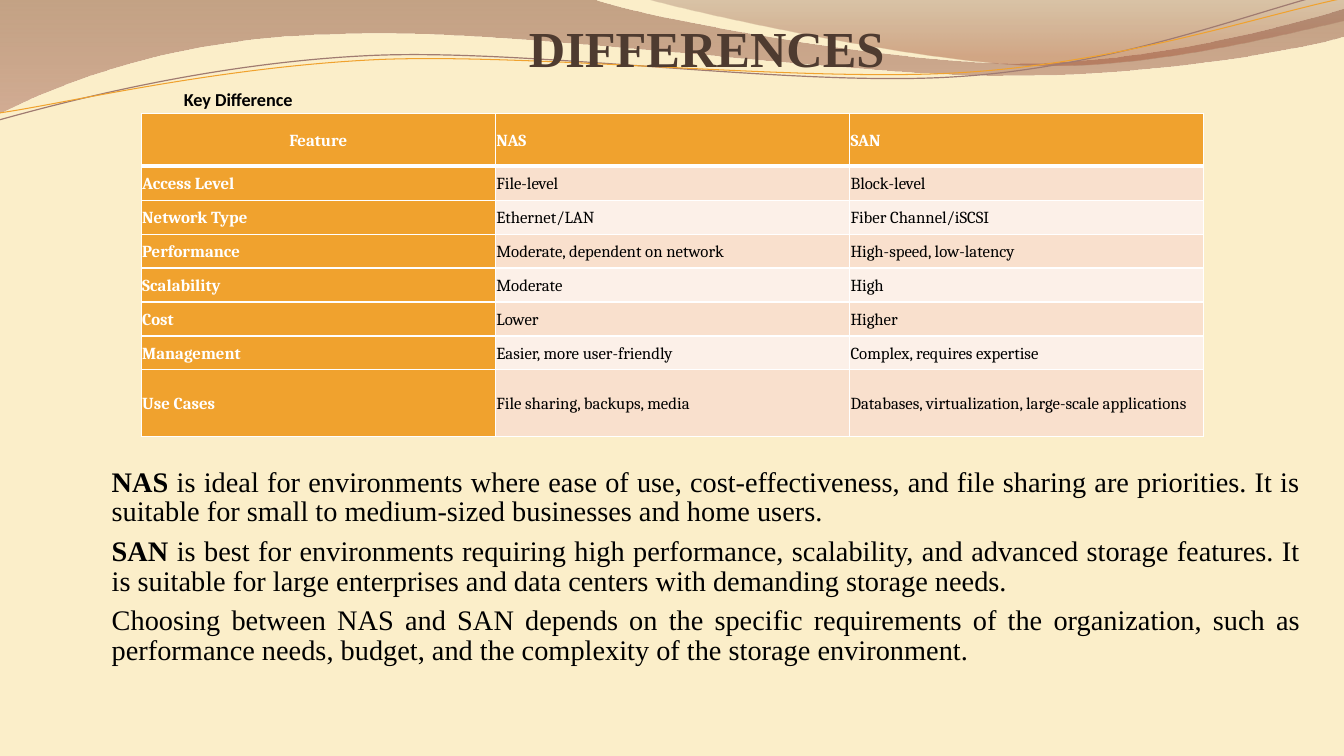
from dataclasses import dataclass

from pptx import Presentation
from pptx.dml.color import RGBColor as RGB
from pptx.enum.text import MSO_ANCHOR as Anchor, PP_ALIGN as Align
from pptx.oxml import parse_xml
from pptx.oxml.ns import nsdecls, qn
from pptx.util import Inches, Pt


@dataclass(frozen=True)
class Theme:
    background: str = "FBEEC9"
    title: str = "4E3B30"
    text: str = "000000"
    white: str = "FFFFFF"
    accent: str = "F0A22E"
    thin_line: str = "A07B71"
    bands: tuple = ("F9E0CD", "FCF0E8")
    serif: str = "Times New Roman"
    table_font: str = "Cambria"
    caption_font: str = "Calibri"
    title_size: float = 36
    body_size: float = 20.25
    table_size: float = 12
    caption_size: float = 13


@dataclass(frozen=True)
class Box:
    col: float
    row: float
    cols: float
    rows: float

    def emu(self) -> tuple:
        return tuple(grid(v) for v in (self.col, self.row, self.cols, self.rows))


@dataclass(frozen=True)
class Stop:
    position: float
    color: str
    alpha: int


@dataclass(frozen=True)
class Wave:
    start: tuple
    segments: tuple
    stops: tuple = ()
    line: str = ""
    width: float = 0


THEME = Theme()
CELL = Inches(0.1)

TITLE_BOX = Box(10.1, 1.2, 120, 7)
CAPTION_BOX = Box(17.25, 8.2, 13, 3.2)
TABLE_BOX = Box(14, 11.3, 105.4, 32)
BODY_BOX = Box(10.1, 46, 120, 22)
ROW_HEIGHTS = (5.2, *[3.37] * 6, 6.6)

WAVES = (
    Wave((-0.1, 0),
         ((58.7, -0.1),
          (63.4, 1.7, 88.5, 6.3, 101.1, 6.3),
          (113.8, 6.3, 127.8, 2.6, 133.3, 0.9),
          (133.5, 3.6),
          (131.1, 4.4, 116, 7.6, 99.4, 7.5),
          (82.9, 7.5, 50.9, 2.8, 34.3, 3.4),
          (17.2, 3.6, 6.1, 8.3, -0.1, 11.3)),
         stops=(Stop(0, "814733", 45), Stop(1, "B17667", 55))),
    Wave((63.9, -0.1),
         ((67.9, 1.1, 90.9, 6.2, 102.5, 6.5),
          (114.1, 6.9, 128.2, 3.2, 133.3, 2.1),
          (133.3, 0)),
         stops=(Stop(0, "8C6359", 30), Stop(0.8, "A15135", 45))),
    Wave((-0.1, 11.9),
         ((6.4, 10.1, 21.1, 6.2, 36.9, 5.5),
          (52.7, 4.8, 79, 8.7, 95, 7.6),
          (111, 6.6, 125.2, 0.8, 133.1, -1)),
         line=THEME.thin_line, width=0.85),
    Wave((0, 11.2),
         ((6.3, 10.3, 21.8, 6.6, 37.8, 5.9),
          (53.7, 5.3, 79.6, 8.2, 95.5, 7.2),
          (111.5, 6.2, 125.5, 1.4, 133.4, -0.2)),
         line=THEME.accent, width=0.75),
)

FEATURES = (
    ("Feature", "NAS", "SAN"),
    ("Access Level", "File-level", "Block-level"),
    ("Network Type", "Ethernet/LAN", "Fiber Channel/iSCSI"),
    ("Performance", "Moderate, dependent on network", "High-speed, low-latency"),
    ("Scalability", "Moderate", "High"),
    ("Cost", "Lower", "Higher"),
    ("Management", "Easier, more user-friendly", "Complex, requires expertise"),
    ("Use Cases", "File sharing, backups, media", "Databases, virtualization, large-scale applications"),
)

SUMMARY = (
    ("NAS", " is ideal for environments where ease of use, cost-effectiveness, and file sharing are priorities. "
            "It is suitable for small to medium-sized businesses and home users."),
    ("SAN", " is best for environments requiring high performance, scalability, and advanced storage features. "
            "It is suitable for large enterprises and data centers with demanding storage needs."),
    ("", "Choosing between NAS and SAN depends on the specific requirements of the organization, such as "
         "performance needs, budget, and the complexity of the storage environment."),
)


def grid(cells: float) -> int:
    return round(cells * CELL)


def style(font, name: str, size: float, color: str, bold: bool) -> None:
    font.name, font.size, font.bold = name, Pt(size), bold
    font.color.rgb = RGB.from_string(color)


def bend(sp, segments: tuple) -> None:
    lines = iter(list(sp.element.spPr.iter(qn("a:lnTo"))))
    for segment in segments:
        controls = [next(lines) for _ in range(len(segment) // 2)]
        if len(controls) == 3:
            curve = parse_xml(f'<a:cubicBezTo {nsdecls("a")}/>')
            controls[0].addprevious(curve)
            for control in controls:
                curve.append(control[0])
                control.getparent().remove(control)


def draw_wave(slide, wave: Wave) -> None:
    points = [wave.start]
    for segment in wave.segments:
        points += zip(segment[::2], segment[1::2])
    corners = [(grid(x), grid(y)) for x, y in points]
    builder = slide.shapes.build_freeform(*corners[0])
    builder.add_line_segments(corners[1:], close=bool(wave.stops))
    sp = builder.convert_to_shape()
    bend(sp, wave.segments)
    sp.shadow.inherit = False
    if not wave.stops:
        sp.fill.background()
        sp.line.color.rgb = RGB.from_string(wave.line)
        sp.line.width = Pt(wave.width)
        return
    sp.line.fill.background()
    sp.fill.gradient()
    sp.fill.gradient_angle = 270
    for target, stop in zip(sp.fill.gradient_stops, wave.stops):
        target.position = stop.position
        target.color.rgb = RGB.from_string(stop.color)
    for color, stop in zip(sp.element.spPr.iter(qn("a:srgbClr")), wave.stops):
        color.append(parse_xml(f'<a:alpha {nsdecls("a")} val="{stop.alpha * 1000}"/>'))


def draw_title(slide) -> None:
    sp = slide.shapes.title
    sp.left, sp.top, sp.width, sp.height = TITLE_BOX.emu()
    tf = sp.text_frame
    tf.text = "DIFFERENCES"
    tf.vertical_anchor = Anchor.MIDDLE
    p = tf.paragraphs[0]
    p.alignment = Align.CENTER
    style(p.runs[0].font, THEME.serif, THEME.title_size, THEME.title, True)
    sp.element.getparent().append(sp.element)


def draw_summary(slide) -> None:
    tf = slide.shapes.add_textbox(*BODY_BOX.emu()).text_frame
    tf.word_wrap = True
    for i, parts in enumerate(SUMMARY):
        p = tf.add_paragraph() if i else tf.paragraphs[0]
        p.alignment, p.line_spacing, p.space_after = Align.JUSTIFY, 0.87, Pt(7.2)
        for text, bold in zip(parts, (True, False)):
            if text:
                r = p.add_run()
                r.text = text
                style(r.font, THEME.serif, THEME.body_size, THEME.text, bold)


def set_borders(cell, bottom: float) -> None:
    props = cell._tc.get_or_add_tcPr()
    for i, (side, width) in enumerate((("L", 1), ("R", 1), ("T", 1), ("B", bottom))):
        props.insert(i, parse_xml(
            f'<a:ln{side} {nsdecls("a")} w="{Pt(width)}"><a:solidFill>'
            f'<a:srgbClr val="{THEME.white}"/></a:solidFill></a:ln{side}>'))


def draw_table(slide) -> None:
    table = slide.shapes.add_table(len(FEATURES), len(FEATURES[0]), *TABLE_BOX.emu()).table
    for i, (row, height) in enumerate(zip(FEATURES, ROW_HEIGHTS)):
        table.rows[i].height = grid(height)
        for j, text in enumerate(row):
            heading = i == 0 or j == 0
            cell = table.cell(i, j)
            cell.fill.solid()
            cell.fill.fore_color.rgb = RGB.from_string(THEME.accent if heading else THEME.bands[(i - 1) % 2])
            cell.margin_left = cell.margin_right = cell.margin_top = cell.margin_bottom = grid(0.1)
            cell.vertical_anchor = Anchor.MIDDLE
            set_borders(cell, 1 if i else 3)
            p = cell.text_frame.paragraphs[0]
            p.text = text
            p.line_spacing = 1.07
            p.alignment = Align.CENTER if i == j == 0 else Align.LEFT
            style(p.runs[0].font, THEME.table_font, THEME.table_size,
                  THEME.white if heading else THEME.text, heading)


def draw_caption(slide) -> None:
    tf = slide.shapes.add_textbox(*CAPTION_BOX.emu()).text_frame
    tf.text = "Key Difference"
    tf.word_wrap = False
    tf.vertical_anchor = Anchor.MIDDLE
    style(tf.paragraphs[0].runs[0].font, THEME.caption_font, THEME.caption_size, THEME.text, True)


def main() -> None:
    prs = Presentation()
    prs.slide_width, prs.slide_height = Inches(13.33), Inches(7.5)
    slide = prs.slides.add_slide(prs.slide_layouts.get_by_name("Title Only"))
    slide.background.fill.solid()
    slide.background.fill.fore_color.rgb = RGB.from_string(THEME.background)
    for wave in WAVES:
        draw_wave(slide, wave)
    for draw in (draw_title, draw_summary, draw_table, draw_caption):
        draw(slide)
    prs.save("out.pptx")


if __name__ == "__main__":
    main()
